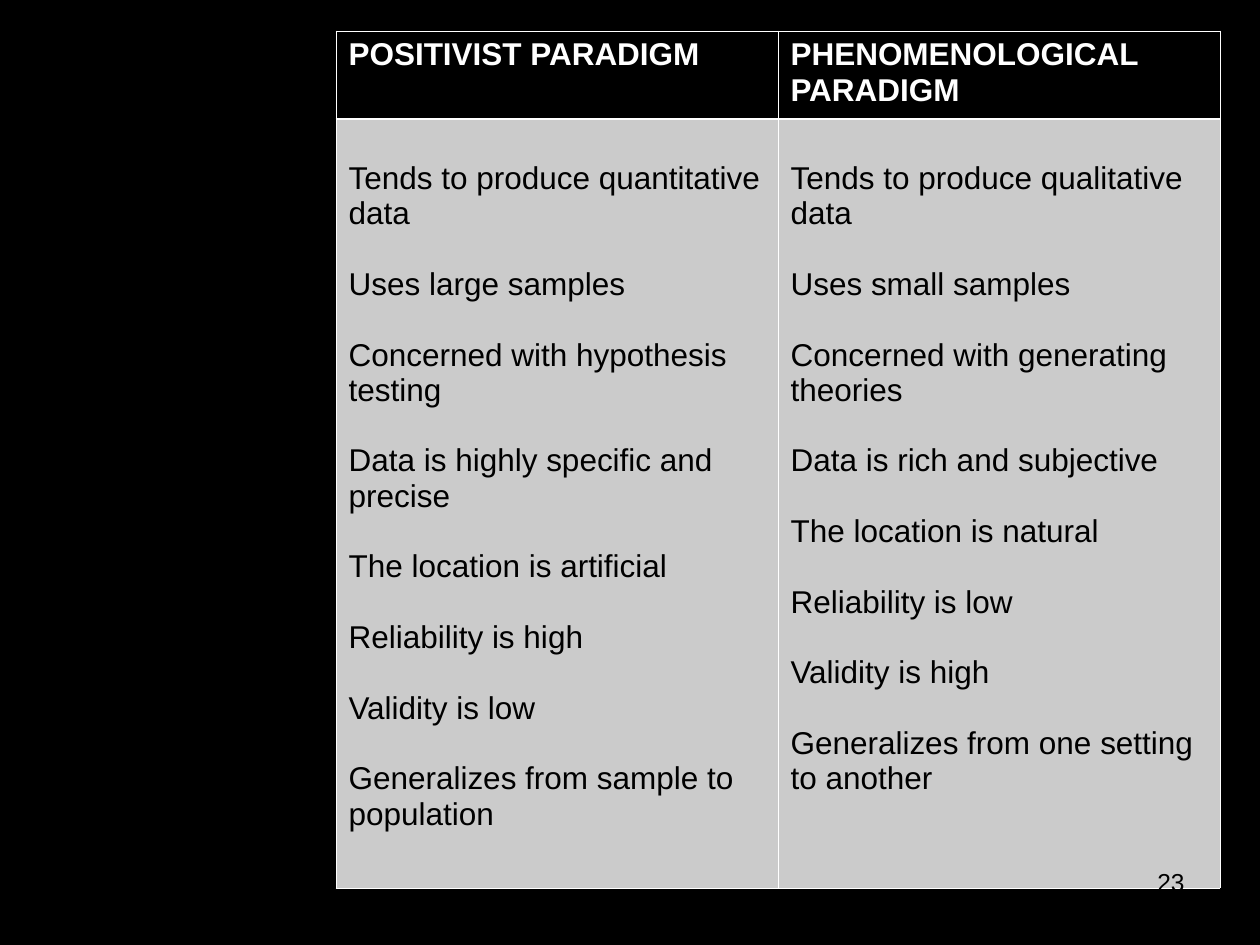
"""Build a slide that compares two research paradigms in a table."""
from lxml import etree
from pptx import Presentation
from pptx import util as u
from pptx.dml.color import RGBColor
from pptx.enum import text
from pptx.oxml.ns import qn

WHITE, BLACK, GREY = "FFFFFF", "000000", "CBCBCB"
THIN, THICK = 0.45, 1.47

HEADS = ["POSITIVIST PARADIGM", "PHENOMENOLOGICAL PARADIGM"]
TRAITS = [
    [
        "Tends to produce quantitative data",
        "Uses large samples",
        "Concerned with hypothesis testing",
        "Data is highly specific and precise",
        "The location is artificial",
        "Reliability is high",
        "Validity is low",
        "Generalizes from sample to population",
    ],
    [
        "Tends to produce qualitative data",
        "Uses small samples",
        "Concerned with generating theories",
        "Data is rich and subjective",
        "The location is natural",
        "Reliability is low",
        "Validity is high",
        "Generalizes from one setting to another",
    ],
]


def px(n):
    return u.Emu(round(n * 914400 / 126))


def rgb(code):
    return RGBColor.from_string(code)


def style(frame, size, color, bold=False, gap=0):
    for i, para in enumerate(frame.paragraphs):
        para.space_before = u.Pt(gap if i else 0)
        for run in para.runs:
            font = run.font
            font.name, font.size, font.bold = "Arial", u.Pt(size), bold
            font.color.rgb = rgb(color)


def border(cell, **widths):
    props = cell._tc.get_or_add_tcPr()
    for side in "LRTB":
        width = str(u.Pt(widths.get(side, THIN)))
        line = etree.SubElement(props, qn("a:ln" + side), w=width)
        fill = etree.SubElement(line, qn("a:solidFill"))
        etree.SubElement(fill, qn("a:srgbClr"), val=WHITE)


def paint(cell, color):
    cell.fill.solid()
    cell.fill.fore_color.rgb = rgb(color)


def add_head(cell, label):
    cell.text_frame.text = label
    style(cell.text_frame, 18, WHITE, bold=True)
    border(cell, B=THICK)
    paint(cell, BLACK)


def add_body(cell, lines):
    cell.text_frame.text = "\n".join(lines)
    cell.margin_top = px(42)
    style(cell.text_frame, 18, BLACK, gap=20.2)
    border(cell, T=THICK)
    paint(cell, GREY)


def add_grid(slide):
    frame = slide.shapes.add_table(2, 2, px(336), px(31), px(884), px(857))
    table = frame.table
    table.horz_banding = False
    for row, high in zip(table.rows, (88, 769)):
        row.height = px(high)
    for i, (head, lines) in enumerate(zip(HEADS, TRAITS)):
        table.columns[i].width = px(442)
        add_head(table.cell(0, i), head)
        add_body(table.cell(1, i), lines)


def add_number(slide, label):
    box = slide.shapes.add_textbox(px(903), px(861), px(294), px(66))
    frame = box.text_frame
    frame.word_wrap = True
    frame.text = label
    frame.paragraphs[0].alignment = text.PP_ALIGN.RIGHT
    style(frame, 14, BLACK)


def main():
    deck = Presentation()
    deck.slide_width, deck.slide_height = px(1260), px(945)
    slide = deck.slides.add_slide(deck.slide_layouts[6])
    back = slide.background.fill
    back.solid()
    back.fore_color.rgb = rgb(BLACK)
    add_grid(slide)
    add_number(slide, "23")
    deck.save("out.pptx")


if __name__ == "__main__":
    main()
